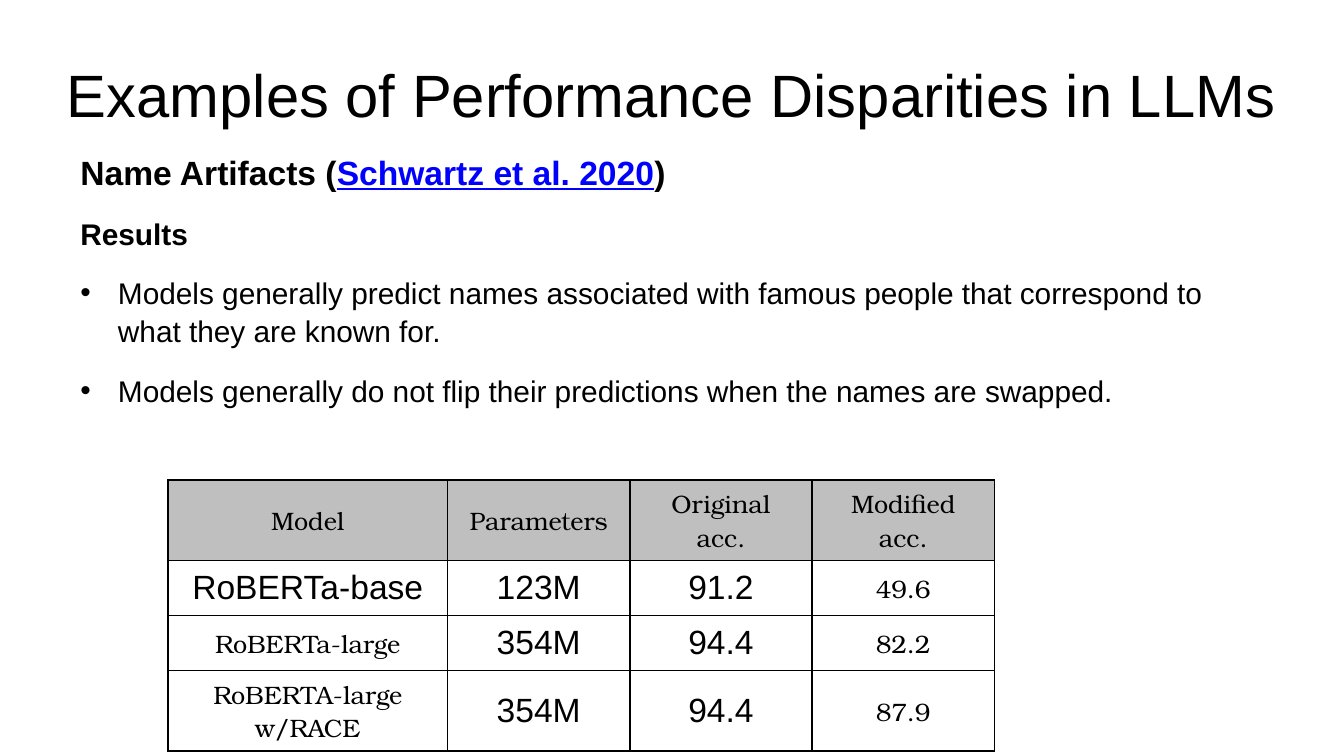
from lxml.etree import SubElement
from pptx import Presentation
from pptx.dml.color import RGBColor
from pptx.enum.text import MSO_ANCHOR as Anchor, PP_ALIGN as Align
from pptx.oxml.ns import qn
from pptx.util import Inches, Pt

WIDTH = Inches(10)
HEIGHT = WIDTH * 9 // 16
BLACK, LINK_BLUE, HEADER_GREY = "000000", "0000FF", "BFBFBF"
SANS, SERIF = "Arial", "TeX Gyre Bonum"
BULLET_INDENT = Inches(0.28)

HEADER = ["Model", "Parameters", "Original acc.", "Modified acc."]
RESULTS = [
    ["RoBERTa-base", "123M", "91.2", "49.6"],
    ["RoBERTa-large", "354M", "94.4", "82.2"],
    ["RoBERTA-large w/RACE", "354M", "94.4", "87.9"],
]
# Cells (row, column) set in the large sans face
LARGE_CELLS = {(1, 0)} | {(row, column) for row in (1, 2, 3) for column in (1, 2)}


def color(hex_code):
    return RGBColor.from_string(hex_code)


def style_run(run, size, font=SANS, hex_code=BLACK, bold=False, underline=False):
    run.font.size = Pt(size)
    run.font.name = font
    run.font.bold = bold
    run.font.underline = underline
    run.font.color.rgb = color(hex_code)


def add_text_frame(slide, top, width, height, anchor):
    """Add a wrapping text box centred across the slide."""
    left = (WIDTH - Inches(width)) // 2
    shape = slide.shapes.add_textbox(left, Inches(top), Inches(width), Inches(height))
    frame = shape.text_frame
    frame.word_wrap = True
    frame.vertical_anchor = anchor
    return frame


def fill_paragraph(paragraph, pieces, size, bold=False, bullet=False):
    """Write (text, is_link) pieces with the body spacing."""
    paragraph.line_spacing = 1.07
    paragraph.space_before = Pt(0.2 * size)
    paragraph.space_after = Pt(8)
    for text, is_link in pieces:
        run = paragraph.add_run()
        run.text = text
        style_run(run, size, hex_code=LINK_BLUE if is_link else BLACK,
                  bold=bold, underline=is_link)
    if bullet:
        properties = paragraph._p.get_or_add_pPr()
        properties.set("marL", str(BULLET_INDENT))
        properties.set("indent", str(-BULLET_INDENT))
        SubElement(properties, qn("a:buFont"), typeface=SANS)
        SubElement(properties, qn("a:buChar"), char="•")


def add_borders(cell):
    properties = cell._tc.get_or_add_tcPr()
    for side in ("lnL", "lnR", "lnT", "lnB"):
        line = SubElement(properties, qn(f"a:{side}"), w=str(Pt(1)))
        fill = SubElement(line, qn("a:solidFill"))
        SubElement(fill, qn("a:srgbClr"), val=BLACK)
        SubElement(line, qn("a:prstDash"), val="solid")


def fill_cell(cell, text, is_header, is_large):
    add_borders(cell)
    if is_header:
        cell.fill.solid()
        cell.fill.fore_color.rgb = color(HEADER_GREY)
    else:
        cell.fill.background()
    cell.vertical_anchor = Anchor.MIDDLE
    # Labels that wrap to two lines get more room below
    if " " in text:
        cell.margin_bottom = Inches(0.1)
    paragraph = cell.text_frame.paragraphs[0]
    paragraph.text = text
    paragraph.alignment = Align.CENTER
    style_run(paragraph.runs[0], 18 if is_large else 13.5, SANS if is_large else SERIF)


def add_title(slide, text):
    frame = add_text_frame(slide, 0.23, 9.5, 0.94, Anchor.MIDDLE)
    paragraph = frame.paragraphs[0]
    paragraph.text = text
    paragraph.alignment = Align.CENTER
    style_run(paragraph.runs[0], 32)


def add_body(slide):
    frame = add_text_frame(slide, 1.06, 9, 4.42, Anchor.TOP)
    heading = [("Name Artifacts (", False), ("Schwartz et al. 2020", True), (")", False)]
    fill_paragraph(frame.paragraphs[0], heading, 18, bold=True)
    fill_paragraph(frame.add_paragraph(), [("Results", False)], 16, bold=True)
    for text in (
        "Models generally predict names associated with famous people "
        "that correspond to what they are known for.",
        "Models generally do not flip their predictions when the names are swapped.",
    ):
        fill_paragraph(frame.add_paragraph(), [(text, False)], 16, bullet=True)


def add_results_table(slide):
    rows = [HEADER] + RESULTS
    table_width, model_width = Inches(6.15), Inches(2.08)
    widths = [model_width] + [(table_width - model_width) // 3] * 3
    row_height = Inches(0.41)
    table = slide.shapes.add_table(
        len(rows), len(widths), Inches(1.25), Inches(3.57),
        table_width, row_height * len(rows)).table
    table.first_row = table.horz_banding = False
    for column, width in zip(table.columns, widths):
        column.width = width
    for row_index, values in enumerate(rows):
        table.rows[row_index].height = row_height
        for column_index, text in enumerate(values):
            fill_cell(table.cell(row_index, column_index), text,
                      row_index == 0, (row_index, column_index) in LARGE_CELLS)


def main():
    presentation = Presentation()
    presentation.slide_width, presentation.slide_height = WIDTH, HEIGHT
    slide = presentation.slides.add_slide(presentation.slide_layouts[6])

    # Heading and findings
    add_title(slide, "Examples of Performance Disparities in LLMs")
    add_body(slide)

    # Accuracy before and after the names are swapped
    add_results_table(slide)

    presentation.save("out.pptx")


if __name__ == "__main__":
    main()
